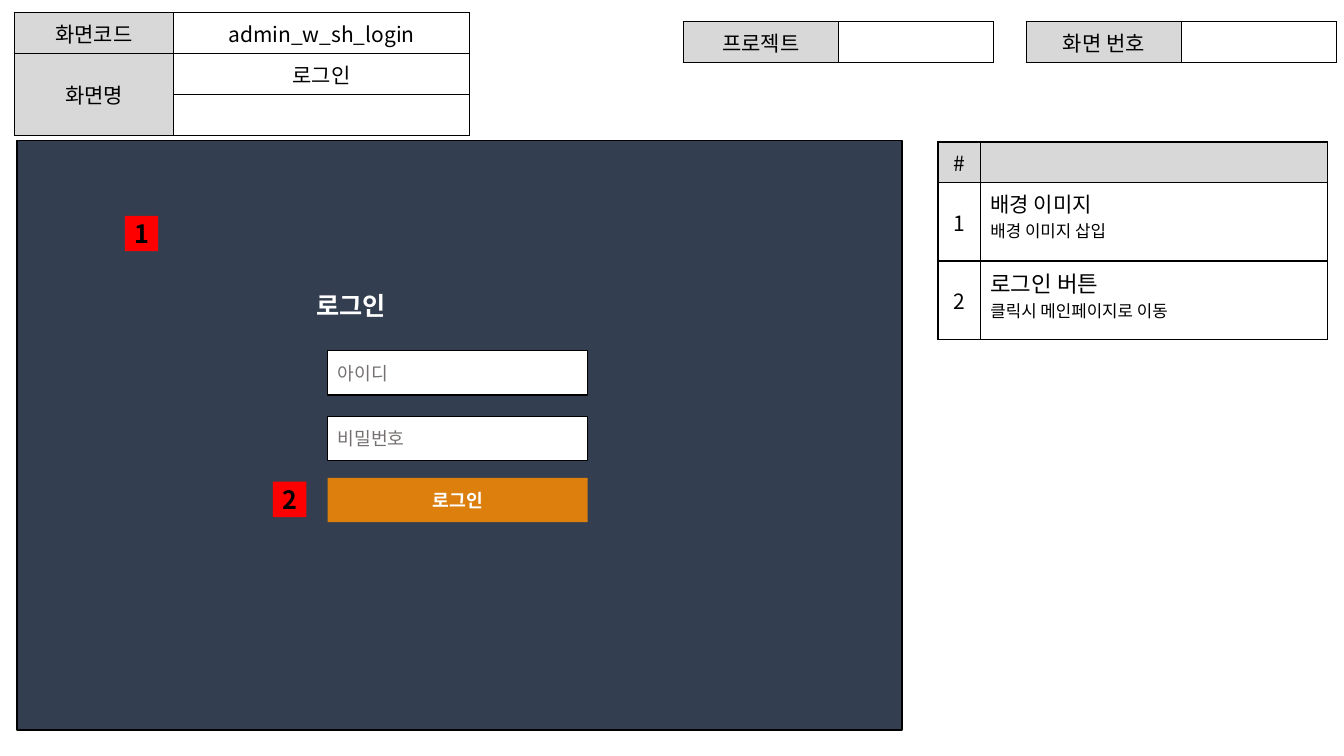
from lxml import etree
from pptx import Presentation
from pptx import util as u
from pptx.dml.color import RGBColor
from pptx.enum import shapes, text
from pptx.oxml import ns

BLACK = RGBColor(0x00, 0x00, 0x00)
WHITE = RGBColor(0xFF, 0xFF, 0xFF)
LABEL_GRAY = RGBColor(0xD8, 0xD8, 0xD8)
HINT_GRAY = RGBColor(0x76, 0x71, 0x71)
NAVY = RGBColor(0x33, 0x3F, 0x50)
ORANGE = RGBColor(0xDC, 0x7F, 0x0D)
RED = RGBColor(0xFF, 0x00, 0x00)

LEFT = text.PP_ALIGN.LEFT
CENTER = text.PP_ALIGN.CENTER
MIDDLE = text.MSO_ANCHOR.MIDDLE
TOP = text.MSO_ANCHOR.TOP


class Wireframe:
    font_name = "Noto Sans CJK KR"
    border = u.Pt(1)
    margins = {
        "margin_left": u.Cm(0.25),
        "margin_right": u.Cm(0.25),
        "margin_top": u.Cm(0.13),
        "margin_bottom": u.Cm(0.13),
    }

    def __init__(self, page):
        self.page = page

    def apply(self, target, values):
        for name, value in values.items():
            setattr(target, name, value)

    def add_lines(self, frame, lines, align=CENTER, color=BLACK, bold=False):
        for index, (words, size) in enumerate(lines):
            para = frame.add_paragraph() if index else frame.paragraphs[0]
            self.apply(para, {"alignment": align, "line_spacing": 1.0, "space_before": u.Pt(0)})
            if not words:
                end = etree.SubElement(para._p, ns.qn("a:endParaRPr"))
                end.set("sz", str(size * 100))
                continue
            span = para.add_run()
            span.text = words
            self.apply(span.font, {"name": self.font_name, "size": u.Pt(size), "bold": bold})
            span.font.color.rgb = color
            east_asian = etree.SubElement(span.font._element, ns.qn("a:ea"))
            east_asian.set("typeface", self.font_name)

    def box(self, place, fill, words="", size=13, outlined=False, **style):
        box = self.page.shapes.add_shape(shapes.MSO_SHAPE.RECTANGLE, *map(u.Cm, place))
        box.shadow.inherit = False
        box.fill.solid()
        box.fill.fore_color.rgb = fill
        if outlined:
            box.line.color.rgb = BLACK
            box.line.width = self.border
        else:
            box.line.fill.background()
        if words:
            self.apply(box.text_frame, {**self.margins, "word_wrap": True, "vertical_anchor": MIDDLE})
            self.add_lines(box.text_frame, [(words, size)], **style)

    def title(self, place, words, size):
        title = self.page.shapes.title
        self.apply(title, dict(zip(("left", "top", "width", "height"), map(u.Cm, place))))
        self.apply(title.text_frame, {
            **self.margins,
            "word_wrap": True,
            "vertical_anchor": MIDDLE,
            "auto_size": text.MSO_AUTO_SIZE.NONE,
        })
        self.add_lines(title.text_frame, [(words, size)], align=LEFT, color=WHITE, bold=True)
        title.element.getparent().append(title.element)

    def outline_cell(self, cell):
        properties = cell._tc.get_or_add_tcPr()
        for index, side in enumerate(("lnL", "lnR", "lnT", "lnB")):
            line = etree.Element(ns.qn("a:" + side), w=str(self.border))
            fill = etree.SubElement(line, ns.qn("a:solidFill"))
            etree.SubElement(fill, ns.qn("a:srgbClr"), val=str(BLACK))
            properties.insert(index, line)

    def table(self, corner, widths, heights, rows, is_label, merge=None):
        place = (*corner, sum(widths), sum(heights))
        table = self.page.shapes.add_table(len(rows), len(widths), *map(u.Cm, place)).table
        self.apply(table, {"first_row": False, "horz_banding": False})
        for column, width in zip(table.columns, widths):
            column.width = u.Cm(width)
        for row, height in zip(table.rows, heights):
            row.height = u.Cm(height)
        for r, row in enumerate(rows):
            for c, content in enumerate(row):
                cell = table.cell(r, c)
                detailed = isinstance(content, list)
                lines = content if detailed else [(content, 15)]
                self.apply(cell, {**self.margins, "vertical_anchor": TOP if detailed else MIDDLE})
                cell.fill.solid()
                cell.fill.fore_color.rgb = LABEL_GRAY if is_label(r, c) else WHITE
                self.outline_cell(cell)
                self.add_lines(cell.text_frame, lines, align=LEFT if detailed else CENTER)
        if merge:
            first, last = merge
            table.cell(*first).merge(table.cell(*last))


def first_column(row, column):
    return column == 0


def first_row(row, column):
    return row == 0


def main():
    deck = Presentation()
    deck.slide_width = u.Cm(33.87)
    deck.slide_height = u.Cm(19.05)
    wireframe = Wireframe(deck.slides.add_slide(deck.slide_layouts[5]))

    row_height = 1.03
    wireframe.table(
        (0.36, 0.32), (4.02, 7.45), [row_height] * 3,
        [("화면코드", "admin_w_sh_login"), ("화면명", "로그인"), ("", "")],
        first_column, merge=((1, 0), (2, 0)),
    )
    for left, label in ((25.86, "화면 번호"), (17.22, "프로젝트")):
        wireframe.table((left, 0.55), (3.91, 3.91), [row_height], [(label, "")], first_column)
    wireframe.table(
        (23.64, 3.58), (1.07, 8.75), (1, 1.97, 1.97),
        [
            ("#", ""),
            ("1", [("배경 이미지", 15), ("배경 이미지 삽입", 12)]),
            ("2", [("로그인 버튼", 16), ("클릭시 메인페이지로 이동", 12)]),
        ],
        first_row,
    )

    wireframe.box((0.43, 3.54, 22.3, 14.86), NAVY, outlined=True)
    field_left, field_width, field_height = 8.26, 6.55, 1.12
    for top, hint in ((10.49, "비밀번호"), (8.84, "아이디")):
        wireframe.box((field_left, top, field_width, field_height), WHITE, hint,
                      outlined=True, align=LEFT, color=HINT_GRAY)
    wireframe.box((field_left, 12.04, field_width, field_height), ORANGE, "로그인",
                  color=WHITE, bold=True)
    wireframe.title((7.72, 7.14, field_width, field_height), "로그인", 18)
    for left, top, number in ((3.15, 5.44, "1"), (6.88, 12.14, "2")):
        wireframe.box((left, top, 0.84, 0.89), RED, number, size=18, bold=True)

    deck.save("out.pptx")


if __name__ == "__main__":
    main()
